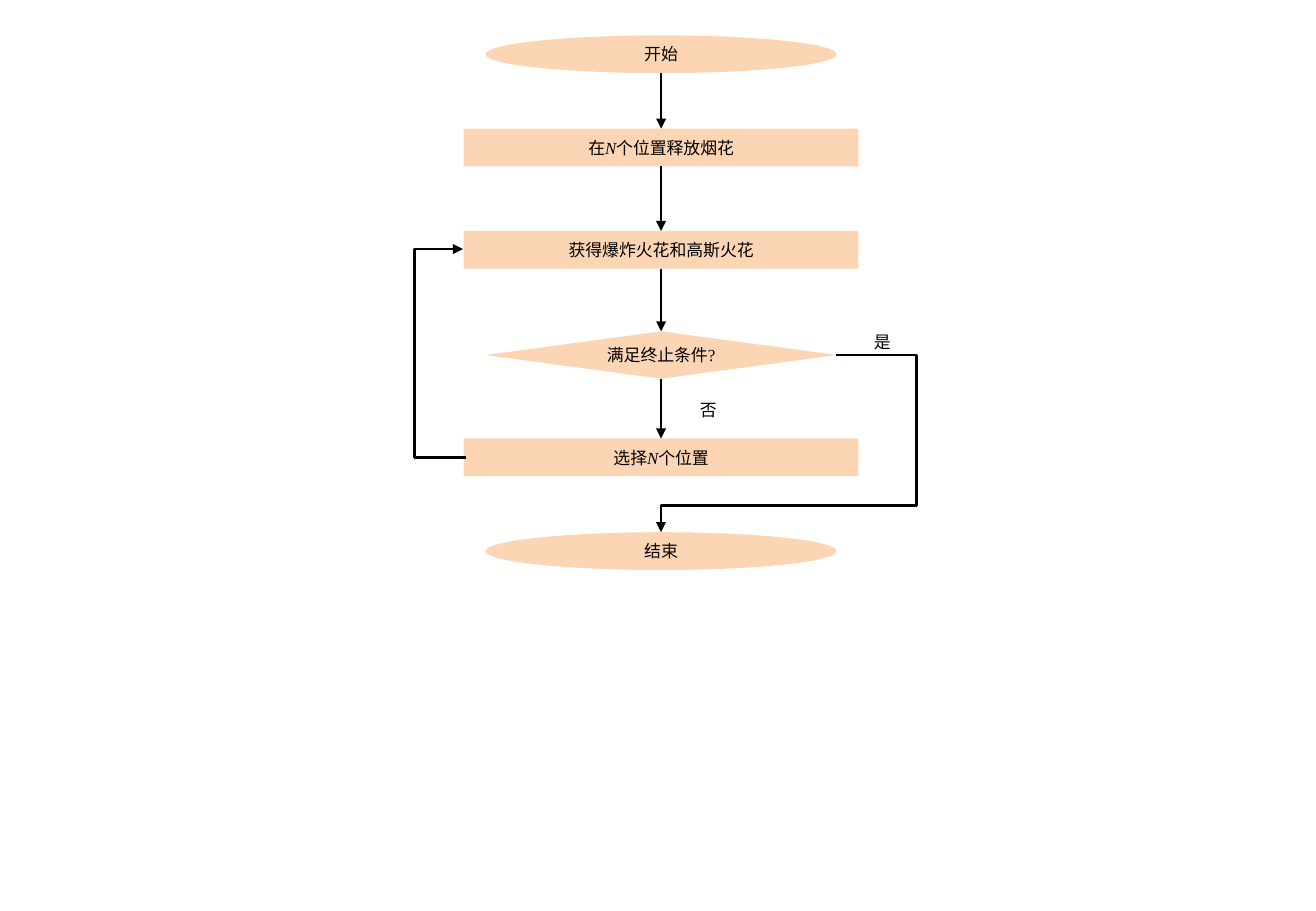
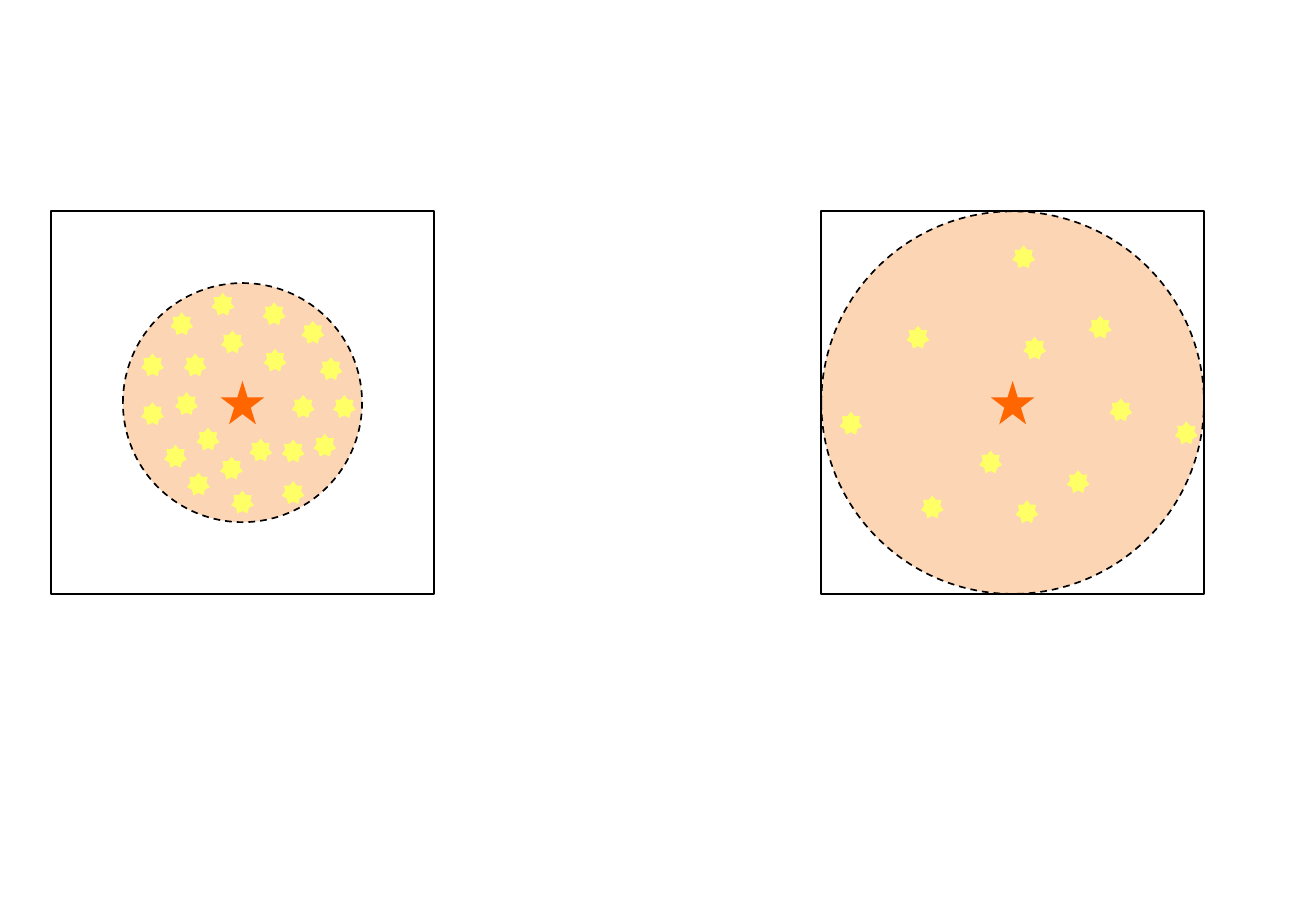
"""Build two slides on the fireworks algorithm: its flowchart and its explosions."""
from dataclasses import dataclass

from lxml.etree import SubElement
from pptx import Presentation
from pptx.dml.color import RGBColor
from pptx.enum.dml import MSO_LINE_DASH_STYLE as Dash
from pptx.enum.shapes import MSO_CONNECTOR_TYPE as Link, MSO_SHAPE as Kind
from pptx.enum.text import MSO_ANCHOR as Anchor, PP_ALIGN as Align
from pptx.oxml.ns import qn
from pptx.shapes.autoshape import Shape
from pptx.shapes.connector import Connector
from pptx.slide import Slide
from pptx.util import Cm, Pt

COLOURS = {"ink": "000000", "peach": "FCD5B5", "spark": "FFFF66", "firework": "FF6600"}
AXIS = 13.82
STAGE_HEIGHT = 0.79
FRAME_TOP, FRAME_SIZE = 4.42, 8.0
SPARK_SIZE, FIREWORK_SIZE = 0.48, 0.91


@dataclass(frozen=True)
class Stage:
    """A step of the flowchart, centred on the axis."""
    kind: Kind
    top: float
    width: float
    words: tuple[str, ...]
    height: float = STAGE_HEIGHT

    @property
    def bottom(self) -> float:
        """Return the lower edge."""
        return self.top + self.height


@dataclass(frozen=True)
class Answer:
    """A label beside a branch."""
    word: str
    left: float
    top: float
    width: float = 1.93
    height: float = 0.76


@dataclass(frozen=True)
class Detour:
    """An elbow arrow with its bends as fractions of its extent."""
    preset: str
    start: tuple[float, float]
    end: tuple[float, float]
    bends: tuple[float, ...]


@dataclass(frozen=True)
class Explosion:
    """A square search area with one firework and its sparks."""
    left: float
    diameter: float
    sparks: tuple[tuple[float, float], ...]

    @property
    def centre(self) -> tuple[float, float]:
        """Return the middle of the area."""
        return self.left + FRAME_SIZE / 2, FRAME_TOP + FRAME_SIZE / 2


STAGES = (
    Stage(Kind.OVAL, 0.74, 7.34, ("开始",)),
    Stage(Kind.RECTANGLE, 2.69, 8.25, ("在", "N", "个位置释放烟花")),
    Stage(Kind.RECTANGLE, 4.83, 8.25, ("获得爆炸火花和高斯火花",)),
    Stage(Kind.DIAMOND, 6.93, 7.34, ("满足终止条件?",), 0.99),
    Stage(Kind.RECTANGLE, 9.17, 8.25, ("选择", "N", "个位置")),
    Stage(Kind.OVAL, 11.13, 7.34, ("结束",)),
)
ANSWERS = (Answer("否", 13.84, 8.18), Answer("是", 17.48, 6.77))
DETOURS = (
    Detour("bentConnector3", (9.75, 9.57), (9.68, 5.21), (15.5,)),
    Detour("bentConnector4", (17.48, 7.42), (AXIS, 11.13), (-0.46, 0.85)),
)
EXPLOSIONS = (
    Explosion(1.07, 5.0, (
        (6.55, 9.07), (5.89, 9.19), (3.91, 9.88), (3.66, 8.2), (5.21, 9.17), (5.89, 10.06),
        (4.6, 9.55), (4.11, 8.94), (3.43, 9.3), (2.95, 8.41), (4.83, 10.26), (6.3, 6.71),
        (6.96, 8.26), (6.1, 8.26), (5.51, 7.29), (4.62, 6.91), (2.95, 7.39), (6.68, 7.47),
        (3.56, 6.53), (5.49, 6.32), (3.84, 7.39), (4.42, 6.12))),
    Explosion(17.17, FRAME_SIZE, (
        (21.16, 5.13), (18.95, 6.81), (19.25, 10.36), (17.55, 8.61), (22.76, 6.6), (22.3, 9.83),
        (24.56, 8.81), (21.23, 10.46), (21.39, 7.04), (20.47, 9.42), (23.19, 8.33))),
)


def colour(name: str) -> RGBColor:
    """Look up a palette colour."""
    return RGBColor.from_string(COLOURS[name])


def add_figure(slide: Slide, kind: Kind, left: float, top: float, width: float,
               height: float, fill: str | None = None, outlined: bool = False) -> Shape:
    """Draw a flat preset shape."""
    figure = slide.shapes.add_shape(kind, Cm(left), Cm(top), Cm(width), Cm(height))
    figure.shadow.inherit = False
    if fill:
        figure.fill.solid()
        figure.fill.fore_color.rgb = colour(fill)
    else:
        figure.fill.background()
    if outlined:
        figure.line.color.rgb = colour("ink")
        figure.line.width = Pt(1)
    else:
        figure.line.fill.background()
    return figure


def add_centred(slide: Slide, kind: Kind, centre: tuple[float, float], size: float,
                fill: str, outlined: bool = False) -> Shape:
    """Draw a square-bounded shape around a point."""
    left, top = (middle - size / 2 for middle in centre)
    return add_figure(slide, kind, left, top, size, size, fill, outlined)


def write(holder: Shape, words: tuple[str, ...], font: str) -> None:
    """Centre the words in a shape, with the variable N in italics."""
    frame = holder.text_frame
    frame.word_wrap = True
    frame.vertical_anchor = Anchor.MIDDLE
    paragraph = frame.paragraphs[0]
    paragraph.alignment = Align.CENTER
    for word in words:
        run = paragraph.add_run()
        run.text = word
        run.font.name = font
        run.font.size = Pt(10)
        run.font.italic = word == "N"
        run.font.color.rgb = colour("ink")


def add_arrow(slide: Slide, link: Link, start: tuple[float, float],
              end: tuple[float, float]) -> Connector:
    """Draw a black connector with a triangular head."""
    arrow = slide.shapes.add_connector(link, *(Cm(value) for value in (*start, *end)))
    arrow.line.color.rgb = colour("ink")
    arrow.line.width = Pt(1.5)
    properties = arrow._element.spPr
    SubElement(properties.find(qn("a:ln")), qn("a:tailEnd"), type="triangle")
    SubElement(properties, qn("a:effectLst"))
    return arrow


def add_detour(slide: Slide, detour: Detour) -> None:
    """Draw an elbow arrow and place its bends."""
    arrow = add_arrow(slide, Link.ELBOW, detour.start, detour.end)
    geometry = arrow._element.spPr.find(qn("a:prstGeom"))
    geometry.set("prst", detour.preset)
    guides = geometry.find(qn("a:avLst"))
    for number, bend in enumerate(detour.bends, 1):
        SubElement(guides, qn("a:gd"), name=f"adj{number}", fmla=f"val {round(bend * 100000)}")


def build_flowchart(slide: Slide) -> None:
    """Draw the stages, their arrows and the branch labels."""
    for stage in STAGES:
        box = add_figure(slide, stage.kind, AXIS - stage.width / 2, stage.top,
                         stage.width, stage.height, "peach")
        write(box, stage.words, "Times New Roman")
    for upper, lower in zip(STAGES[:-2], STAGES[1:-1]):
        add_arrow(slide, Link.STRAIGHT, (AXIS, upper.bottom), (AXIS, lower.top))
    for detour in DETOURS:
        add_detour(slide, detour)
    for answer in ANSWERS:
        label = slide.shapes.add_textbox(Cm(answer.left), Cm(answer.top),
                                         Cm(answer.width), Cm(answer.height))
        write(label, (answer.word,), "Calibri")


def build_explosions(slide: Slide) -> None:
    """Draw each explosion inside its search area."""
    for explosion in EXPLOSIONS:
        blast = add_centred(slide, Kind.OVAL, explosion.centre, explosion.diameter, "peach", True)
        blast.line.dash_style = Dash.DASH
        add_centred(slide, Kind.STAR_5_POINT, explosion.centre, FIREWORK_SIZE, "firework")
        for left, top in explosion.sparks:
            add_figure(slide, Kind.STAR_7_POINT, left, top, SPARK_SIZE, SPARK_SIZE, "spark")
        add_figure(slide, Kind.RECTANGLE, explosion.left, FRAME_TOP,
                   FRAME_SIZE, FRAME_SIZE, outlined=True)


def main() -> None:
    """Build and save the presentation."""
    deck = Presentation()
    deck.slide_width, deck.slide_height = Cm(27.51), Cm(19.05)
    for build in (build_flowchart, build_explosions):
        build(deck.slides.add_slide(deck.slide_layouts[6]))
    deck.save("out.pptx")


main()
